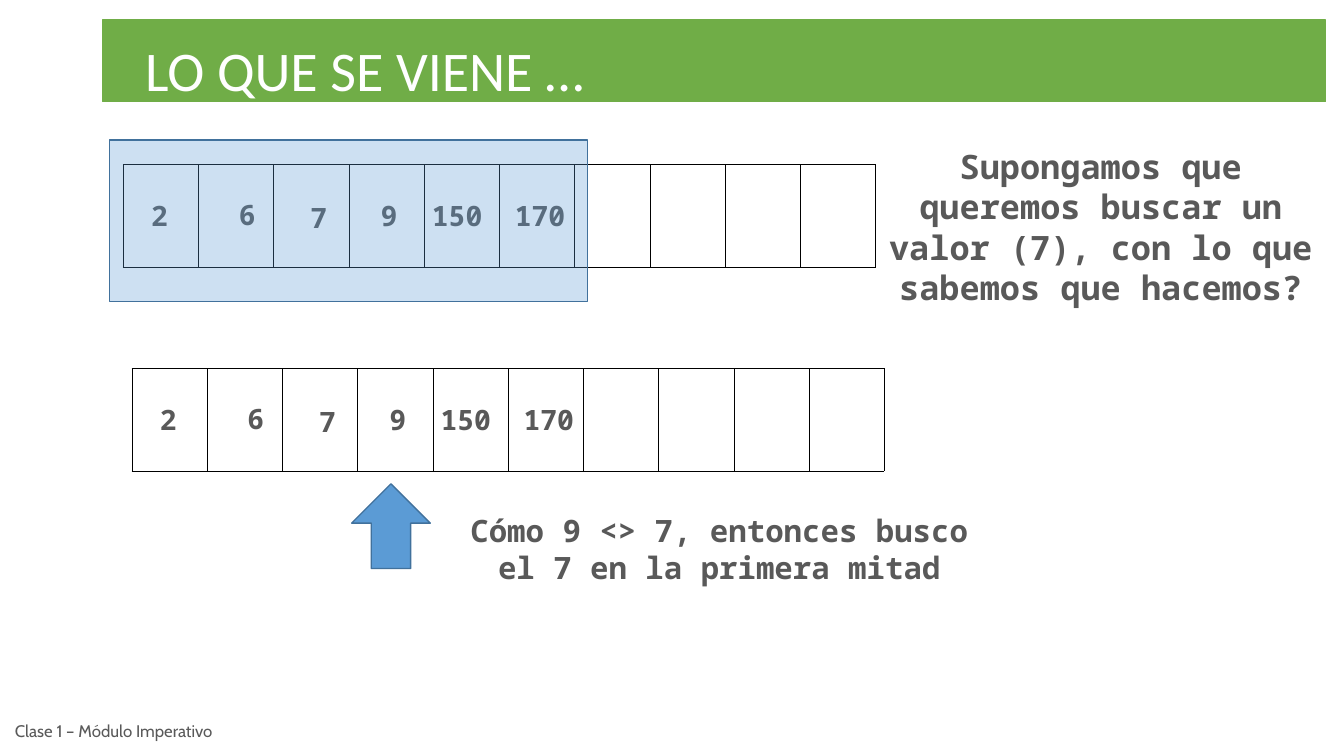
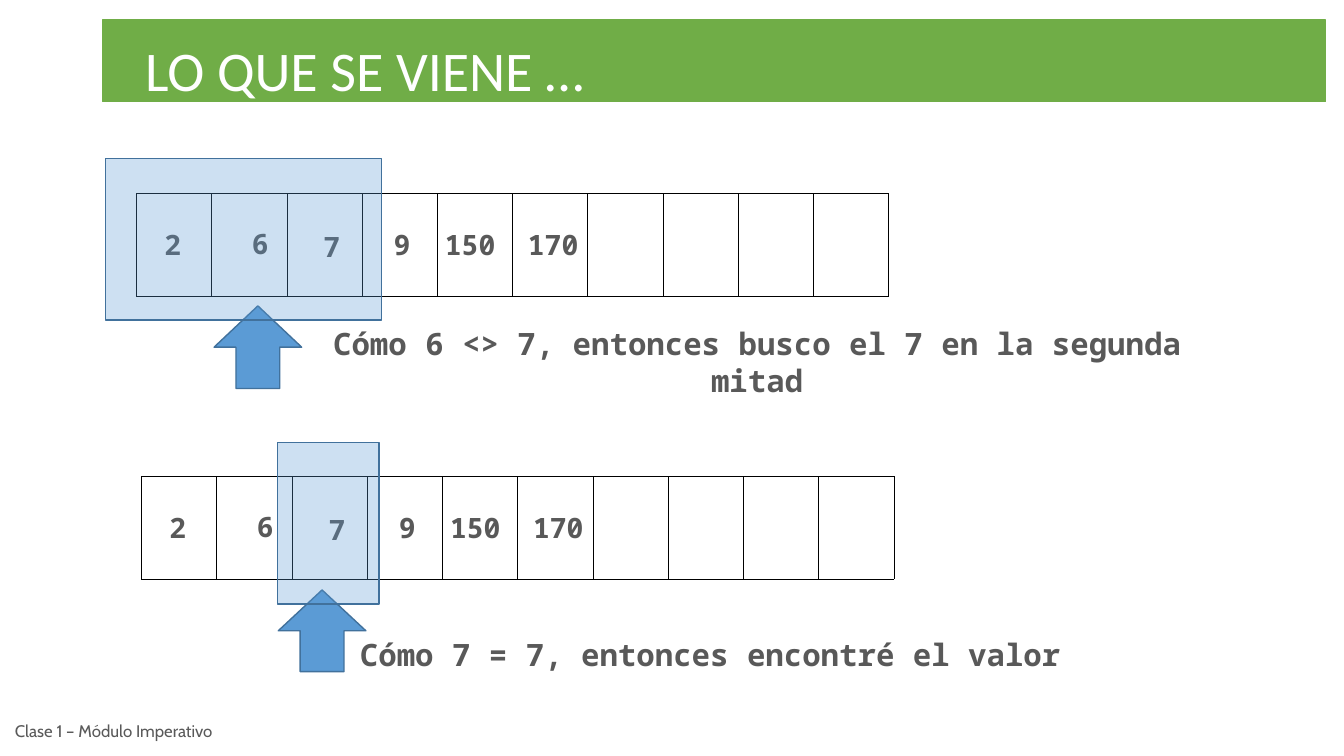
"""Build two slides that walk through a binary search on a vector."""
import dataclasses

import lxml.etree
import pptx
import pptx.dml.color
import pptx.enum.shapes
import pptx.enum.text
import pptx.oxml.ns
import pptx.util

Pt = pptx.util.Pt
qn = pptx.oxml.ns.qn
Align = pptx.enum.text.PP_ALIGN
Anchor = pptx.enum.text.MSO_ANCHOR
AutoSize = pptx.enum.text.MSO_AUTO_SIZE
Preset = pptx.enum.shapes.MSO_SHAPE


@dataclasses.dataclass(frozen=True)
class Theme:
    """Colours, fonts and type sizes of the deck."""
    band: str = "70AD47"
    title: str = "FFFFFF"
    text: str = "595959"
    accent: str = "5B9BD5"
    outline: str = "41719C"
    grid: str = "000000"
    title_font: str = "Calibri"
    footer_font: str = "Cabin"
    code_font: str = "Noto Sans Mono"
    title_size: int = 40
    footer_size: int = 12
    number_size: int = 20
    caption_size: int = 22
    question_size: int = 24
    grid_width: float = 0.25
    highlight_opacity: int = 30


THEME = Theme()
TITLE_ONLY = 5
CELL_COUNT = 10
CELL_WIDTH = 53.8
CELL_HEIGHT = 73.5
NUMBER_HEIGHT = 31.7
HIGHLIGHT_HEIGHT = 115.4
NUMBERS = [
    ("2", 13, 20.7, 73.4),
    ("6", 75.6, 20, 69.1),
    ("7", 126.7, 22.5, 42.5),
    ("9", 177, 21, 57.6),
    ("150", 213.6, 21, 57.6),
    ("170", 272.9, 21, 62.6),
]


def rgb(value):
    """Return the colour for a hexadecimal value."""
    return pptx.dml.color.RGBColor.from_string(value)


def points(*lengths):
    """Return the lengths given in points as a list of lengths."""
    return [Pt(length) for length in lengths]


def write_text(shape, text, font=THEME.code_font, size=THEME.caption_size, color=THEME.text,
               bold=False, align=Align.LEFT, anchor=Anchor.TOP, wrap=True,
               auto_size=AutoSize.SHAPE_TO_FIT_TEXT):
    """Write one formatted paragraph into a shape."""
    frame = shape.text_frame
    frame.text = text
    frame.word_wrap = wrap
    frame.auto_size = auto_size
    frame.vertical_anchor = anchor
    paragraph = frame.paragraphs[0]
    paragraph.alignment = align
    run_font = paragraph.runs[0].font
    run_font.name = font
    run_font.size = Pt(size)
    run_font.bold = bold
    run_font.color.rgb = rgb(color)


def add_text(slide, text, box, **text_format):
    """Add a text box."""
    write_text(slide.shapes.add_textbox(*points(*box)), text, **text_format)


def add_shape(slide, preset, box, fill, line, opacity=100):
    """Add a filled and outlined preset shape."""
    shape = slide.shapes.add_shape(preset, *points(*box))
    shape.shadow.inherit = False
    shape.fill.solid()
    shape.fill.fore_color.rgb = rgb(fill)
    if opacity < 100:
        color = shape.element.spPr.find(".//" + qn("a:srgbClr"))
        lxml.etree.SubElement(color, qn("a:alpha"), val=str(opacity * 1000))
    shape.line.color.rgb = rgb(line)
    shape.line.width = Pt(1)
    return shape


def format_cell(cell):
    """Give a cell thin borders and no fill."""
    properties = cell._tc.get_or_add_tcPr()
    for side in ("a:lnL", "a:lnR", "a:lnT", "a:lnB"):
        border = lxml.etree.SubElement(properties, qn(side), w=str(Pt(THEME.grid_width)))
        fill = lxml.etree.SubElement(border, qn("a:solidFill"))
        lxml.etree.SubElement(fill, qn("a:srgbClr"), val=THEME.grid)
    cell.fill.background()


def add_vector(slide, left, top):
    """Add the vector as a one-row table with its numbers."""
    box = points(left, top, CELL_WIDTH * CELL_COUNT, CELL_HEIGHT)
    table = slide.shapes.add_table(1, CELL_COUNT, *box).table
    table.first_row = False
    table.horz_banding = False
    for column in table.columns:
        column.width = Pt(CELL_WIDTH)
    for cell in table.iter_cells():
        format_cell(cell)
    for number, offset_x, offset_y, width in NUMBERS:
        add_text(slide, number, (left + offset_x, top + offset_y, width, NUMBER_HEIGHT),
                 size=THEME.number_size, bold=True, align=Align.JUSTIFY)


def add_arrow(slide, *box):
    """Add the arrow that points at the tested cell."""
    add_shape(slide, Preset.UP_ARROW, box, THEME.accent, THEME.outline)


def add_caption(slide, text, *box, size=THEME.caption_size):
    """Add a centred explanation."""
    add_text(slide, text, box, size=size, bold=True, align=Align.CENTER)


def add_highlight(slide, left, top, width):
    """Add the translucent frame over the part being searched."""
    add_shape(slide, Preset.RECTANGLE, (left, top, width, HIGHLIGHT_HEIGHT),
              THEME.accent, THEME.outline, THEME.highlight_opacity)


def add_slide(presentation):
    """Add a slide with the shared band, title and footer."""
    slide = presentation.slides.add_slide(presentation.slide_layouts[TITLE_ONLY])
    title = slide.shapes.title
    title.left, title.top, title.width, title.height = points(96.5, 21.6, 328.3, 55.4)
    write_text(title, "LO QUE SE VIENE …", font=THEME.title_font, size=THEME.title_size,
               color=THEME.title, wrap=False)
    band = add_shape(slide, Preset.RECTANGLE, (73.4, 14.4, 874.1, 58.3), THEME.band, THEME.band)
    title.element.addprevious(band.element)
    add_text(slide, "Clase 1 – Módulo Imperativo", (3.6, 507.6, 167.8, 28.8),
             font=THEME.footer_font, size=THEME.footer_size, anchor=Anchor.MIDDLE,
             auto_size=AutoSize.NONE)
    return slide


def build_first_half(presentation):
    """Show the question and the first comparison."""
    slide = add_slide(presentation)
    add_vector(slide, 88, 117.5)
    add_caption(slide, "Supongamos que queremos buscar un valor (7), con lo que sabemos que hacemos?",
                627.1, 100.8, 319, 122.4, size=THEME.question_size)
    add_vector(slide, 94.2, 263)
    add_arrow(slide, 251.3, 345.6, 56.2, 60.5)
    add_caption(slide, "Cómo 9 <> 7, entonces busco el 7 en la primera mitad",
                310.3, 362.2, 407.5, 60.5)
    add_highlight(slide, 78.5, 100, 341.3)


def build_second_half(presentation):
    """Show the second comparison and the match."""
    slide = add_slide(presentation)
    add_vector(slide, 97.3, 138)
    add_arrow(slide, 153, 218.5, 62.6, 59)
    add_caption(slide, "Cómo 6 <> 7, entonces busco el 7 en la segunda mitad",
                200.2, 228.2, 681.8, 60.5)
    add_highlight(slide, 75.5, 113.2, 197.3)
    add_vector(slide, 101, 340.2)
    add_arrow(slide, 198.9, 421.4, 62.6, 58.3)
    add_caption(slide, "Cómo 7 = 7, entonces encontré el valor", 198, 450.7, 619.2, 33.8)
    add_highlight(slide, 198.2, 316, 72.7)


def main():
    """Build and save the presentation."""
    presentation = pptx.Presentation()
    presentation.slide_width, presentation.slide_height = points(960.5, 540)
    build_first_half(presentation)
    build_second_half(presentation)
    presentation.save("out.pptx")


if __name__ == "__main__":
    main()
